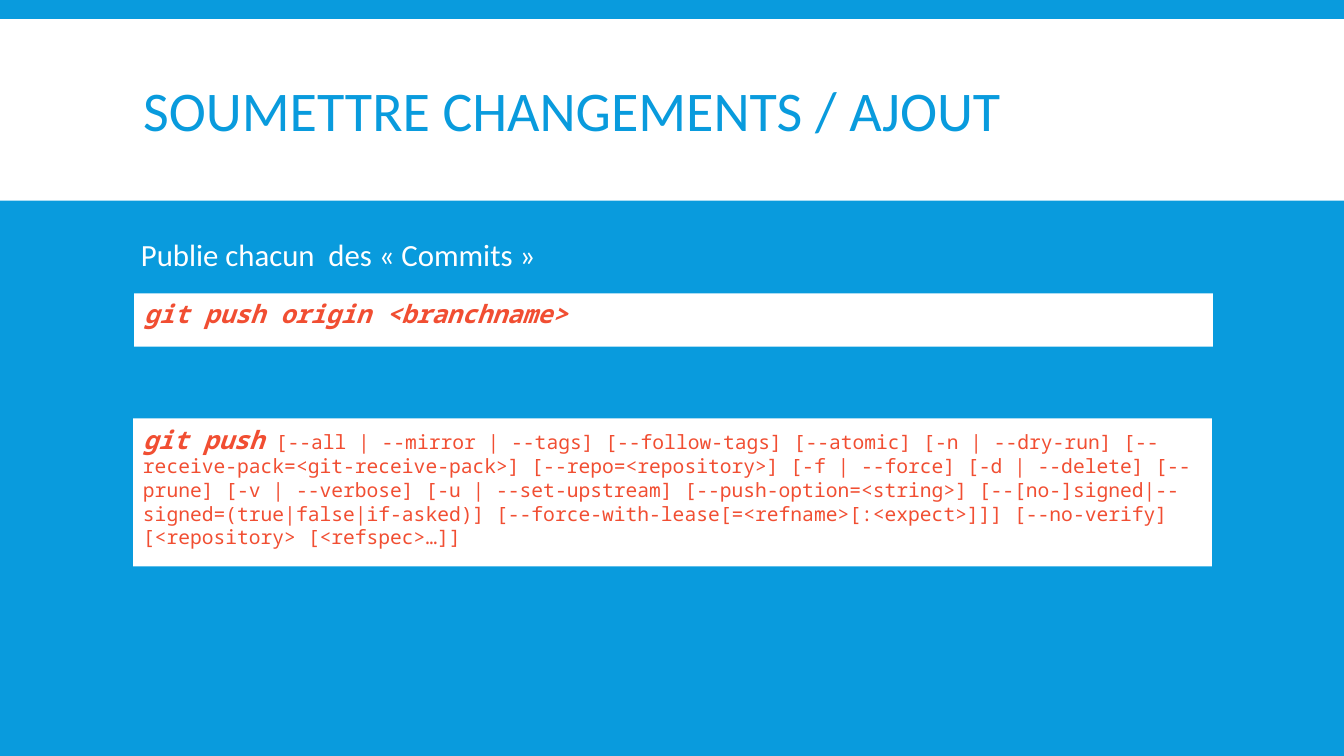
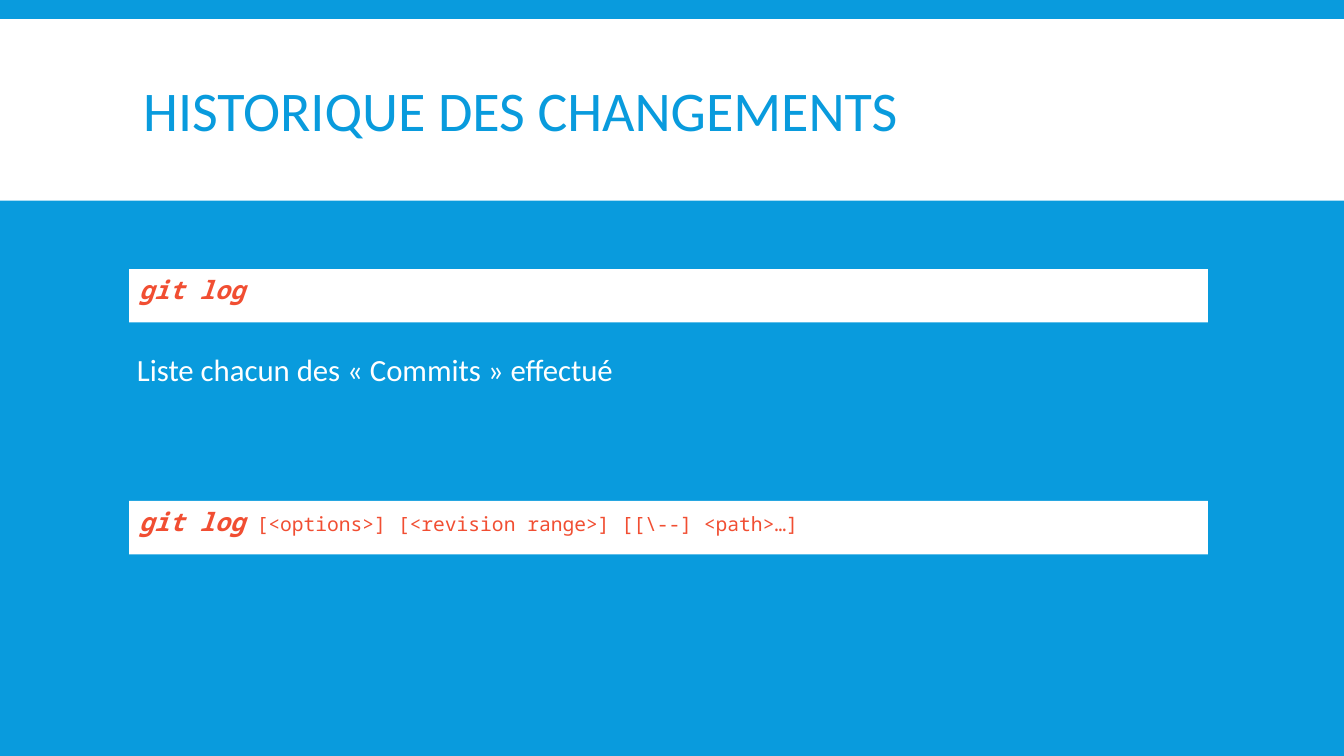
import pptx
import pptx.dml.color
import pptx.enum.shapes
import pptx.enum.text
import pptx.util

Inches = pptx.util.Inches
BLUE, WHITE, RED = "099BDD", "FFFFFF", "F14E32"
SANS, MONO = "Calibri", "Noto Sans Mono"
MIDDLE = pptx.enum.text.MSO_ANCHOR.MIDDLE
LEFT = pptx.enum.text.PP_ALIGN.LEFT
ROW_H = 0.53
WIDTH = 10.7


def color(value):
    return pptx.dml.color.RGBColor.from_string(value)


def paint(fill, value):
    fill.solid()
    fill.fore_color.rgb = color(value)


def add_text(p, text, size, value, font=SANS, bold=False, italic=False):
    r = p.add_run()
    r.text = text
    r.font.name = font
    r.font.size = pptx.util.Pt(size)
    r.font.color.rgb = color(value)
    r.font.bold = bold
    r.font.italic = italic


def place(sp, x, y, w, h):
    sp.left, sp.top, sp.width, sp.height = map(Inches, (x, y, w, h))


def add_panel(slide, x, y, w, h):
    sp = slide.shapes.add_shape(
        pptx.enum.shapes.MSO_SHAPE.RECTANGLE, *map(Inches, (x, y, w, h)))
    sp.shadow.inherit = False
    paint(sp.fill, WHITE)
    sp.line.fill.background()
    return sp


def style_layout(layout):
    paint(layout.background.fill, BLUE)
    title = layout.placeholders[0]
    place(title, 1.32, 0.31, WIDTH, 1.65)
    title.text_frame.vertical_anchor = MIDDLE


def add_slide(prs, layout, text):
    slide = prs.slides.add_slide(layout)
    band = add_panel(slide, 0, 0.19, 13.33, 1.8)
    slide.shapes._spTree.insert(2, band._element)
    p = slide.shapes.title.text_frame.paragraphs[0]
    p.alignment = LEFT
    p.line_spacing = 0.85
    add_text(p, text, 40, BLUE)
    return slide


def add_code(slide, x, y, command, options="", h=ROW_H):
    tf = add_panel(slide, x, y, WIDTH, h).text_frame
    tf.word_wrap = True
    tf.vertical_anchor = MIDDLE
    tf.margin_bottom = Inches(0.17)
    p = tf.paragraphs[0]
    p.alignment = LEFT
    add_text(p, command, 18, RED, font=MONO, bold=True, italic=True)
    if options:
        add_text(p, " " + options, 14, RED, font=MONO)


def add_caption(slide, x, y, text):
    sp = slide.shapes.add_textbox(*map(Inches, (x, y, WIDTH, ROW_H)))
    tf = sp.text_frame
    tf.word_wrap = True
    p = tf.paragraphs[0]
    p.line_spacing = 0.9
    add_text(p, text, 22, WHITE)


def main():
    prs = pptx.Presentation()
    prs.slide_width, prs.slide_height = Inches(13.33), Inches(7.5)
    layout = prs.slide_layouts.get_by_name("Title Only")
    style_layout(layout)

    slide = add_slide(prs, layout, "SOUMETTRE CHANGEMENTS / AJOUT")
    add_caption(slide, 1.3, 2.33, "Publie chacun  des « Commits »")
    add_code(slide, 1.33, 2.91, "git push origin <branchname>")
    add_code(
        slide, 1.32, 4.15, "git push",
        "[--all | --mirror | --tags] [--follow-tags] [--atomic] "
        "[-n | --dry-run] [--receive-pack=<git-receive-pack>] "
        "[--repo=<repository>] [-f | --force] [-d | --delete] [--prune] "
        "[-v | --verbose] [-u | --set-upstream] [--push-option=<string>] "
        "[--[no-]signed|--signed=(true|false|if-asked)] "
        "[--force-with-lease[=<refname>[:<expect>]]] [--no-verify] "
        "[<repository> [<refspec>…]]", h=1.47)

    slide = add_slide(prs, layout, "HISTORIQUE DES CHANGEMENTS")
    add_code(slide, 1.28, 2.67, "git log")
    add_caption(slide, 1.26, 3.47, "Liste chacun des « Commits » effectué")
    add_code(slide, 1.28, 4.97, "git log",
             r"[<options>] [<revision range>] [[\--] <path>…]")

    prs.save("out.pptx")


if __name__ == "__main__":
    main()
